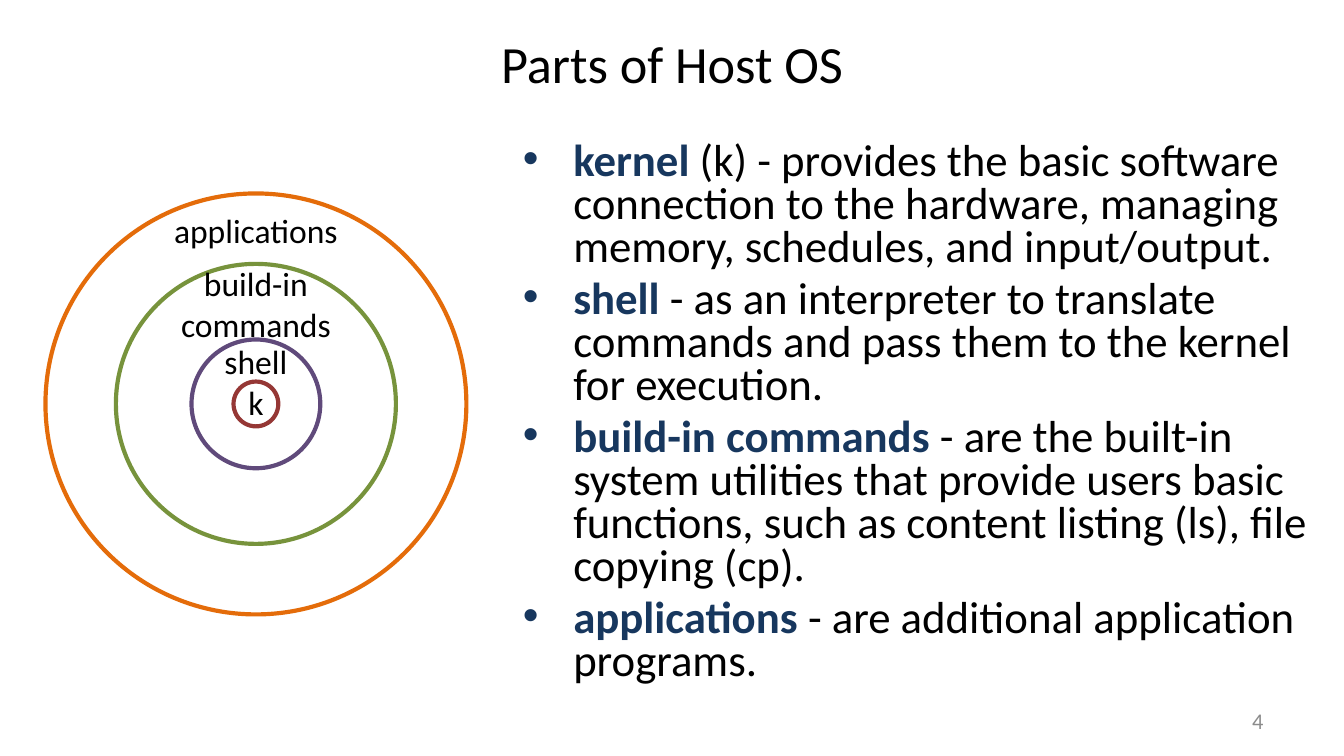
"""Build the slide on the parts of the host operating system."""
from lxml import etree
from pptx import Presentation
from pptx import util as u
from pptx.dml.color import RGBColor
from pptx.enum import shapes, text
from pptx.oxml import ns

BLACK = RGBColor(0x00, 0x00, 0x00)
NAVY = RGBColor(0x17, 0x37, 0x5E)
GREY = RGBColor(0x8C, 0x8C, 0x8C)
RED = RGBColor(0x95, 0x37, 0x35)
PURPLE = RGBColor(0x60, 0x4A, 0x7B)
GREEN = RGBColor(0x77, 0x93, 0x3C)
ORANGE = RGBColor(0xE4, 0x6C, 0x0A)

CENTRE_X, CENTRE_Y = 137.1, 216.4
RINGS = [(24, RED), (69, PURPLE), (150, GREEN), (225.5, ORANGE)]
LABELS = [
    (["k"], 201, 23),
    (["shell"], 179.3, 48),
    (["build-in", "commands"], 137.5, 96),
    (["applications"], 108.7, 104),
]
PARTS = [
    ("kernel", " (k) - provides the basic software connection to the hardware, "
               "managing memory, schedules, and input/output."),
    ("shell", " - as an interpreter to translate commands and pass them to the "
              "kernel for execution."),
    ("build-in commands", " - are the built-in system utilities that provide users "
                          "basic functions, such as content listing (ls), file copying (cp)."),
    ("applications", " - are additional application programs."),
]


def write(para, words, size=18, color=BLACK, bold=False, font="Calibri"):
    span = para.add_run()
    span.text = words
    span.font.name = font
    span.font.size = u.Pt(size)
    span.font.bold = bold
    span.font.color.rgb = color


class Page:
    def __init__(self, deck):
        self.slide = deck.slides.add_slide(deck.slide_layouts[6])
        self.line_width = u.Pt(2.25)
        self.text_size = 24
        self.indent = 27

    def frame(self, left, top, width, height, anchor=text.MSO_ANCHOR.TOP, wrap=True):
        box = self.slide.shapes.add_textbox(u.Pt(left), u.Pt(top), u.Pt(width), u.Pt(height))
        box.text_frame.word_wrap = wrap
        box.text_frame.vertical_anchor = anchor
        return box.text_frame

    def lines(self, frame, lines, align=text.PP_ALIGN.CENTER, **style):
        for index, line in enumerate(lines):
            para = frame.add_paragraph() if index else frame.paragraphs[0]
            para.alignment = align
            write(para, line, **style)

    def ring(self, diameter, color):
        ring = self.slide.shapes.add_shape(
            shapes.MSO_SHAPE.OVAL, u.Pt(CENTRE_X - diameter / 2),
            u.Pt(CENTRE_Y - diameter / 2), u.Pt(diameter), u.Pt(diameter))
        ring.shadow.inherit = False
        ring.fill.background()
        ring.line.color.rgb = color
        ring.line.width = self.line_width

    def label(self, lines, top, width):
        height = 29 if len(lines) == 1 else 51
        frame = self.frame(CENTRE_X - width / 2, top, width, height, wrap=False)
        self.lines(frame, lines)

    def bullets(self, frame, items):
        for index, (term, meaning) in enumerate(items):
            para = frame.add_paragraph() if index else frame.paragraphs[0]
            props = para._p.get_or_add_pPr()
            props.set("marL", str(u.Pt(self.indent)))
            props.set("indent", str(u.Pt(-self.indent)))
            etree.SubElement(props, ns.qn("a:buFont"), typeface="Arial")
            etree.SubElement(props, ns.qn("a:buChar"), char="•")
            para.line_spacing = 0.8
            if index:
                para.space_before = u.Pt(self.text_size * 0.2)
            write(para, term, size=self.text_size, color=NAVY, bold=True)
            write(para, meaning, size=self.text_size)


def main():
    deck = Presentation()
    deck.slide_width, deck.slide_height = u.Pt(720), u.Pt(405)
    page = Page(deck)
    middle = text.MSO_ANCHOR.MIDDLE

    page.lines(page.frame(36, 10.8, 648, 45.4, middle), ["Parts of Host OS"], size=28)
    for diameter, color in RINGS:
        page.ring(diameter, color)
    for lines, top, width in LABELS:
        page.label(lines, top, width)
    page.bullets(page.frame(273, 72.7, 436, 311), PARTS)
    page.lines(page.frame(516, 375, 168, 21.6, middle), ["4"],
               align=text.PP_ALIGN.RIGHT, size=12, color=GREY)
    deck.save("out.pptx")


if __name__ == "__main__":
    main()
